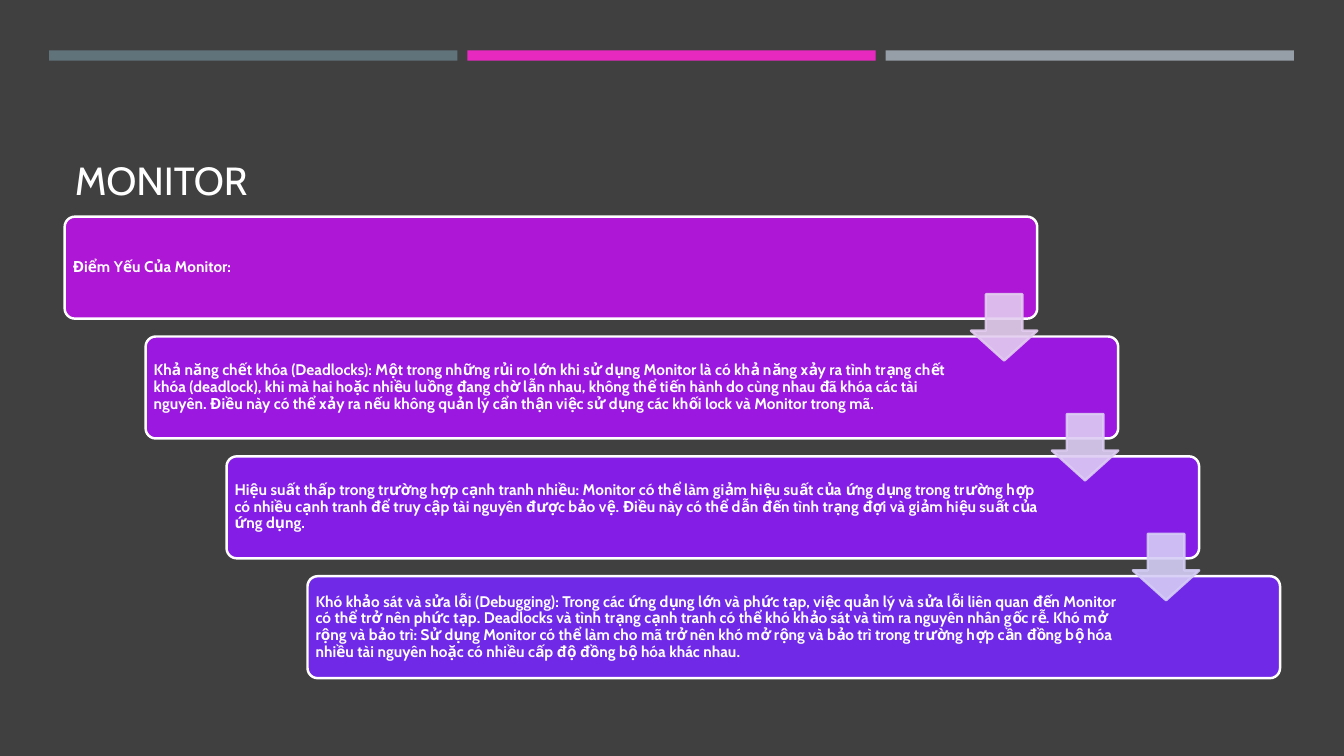
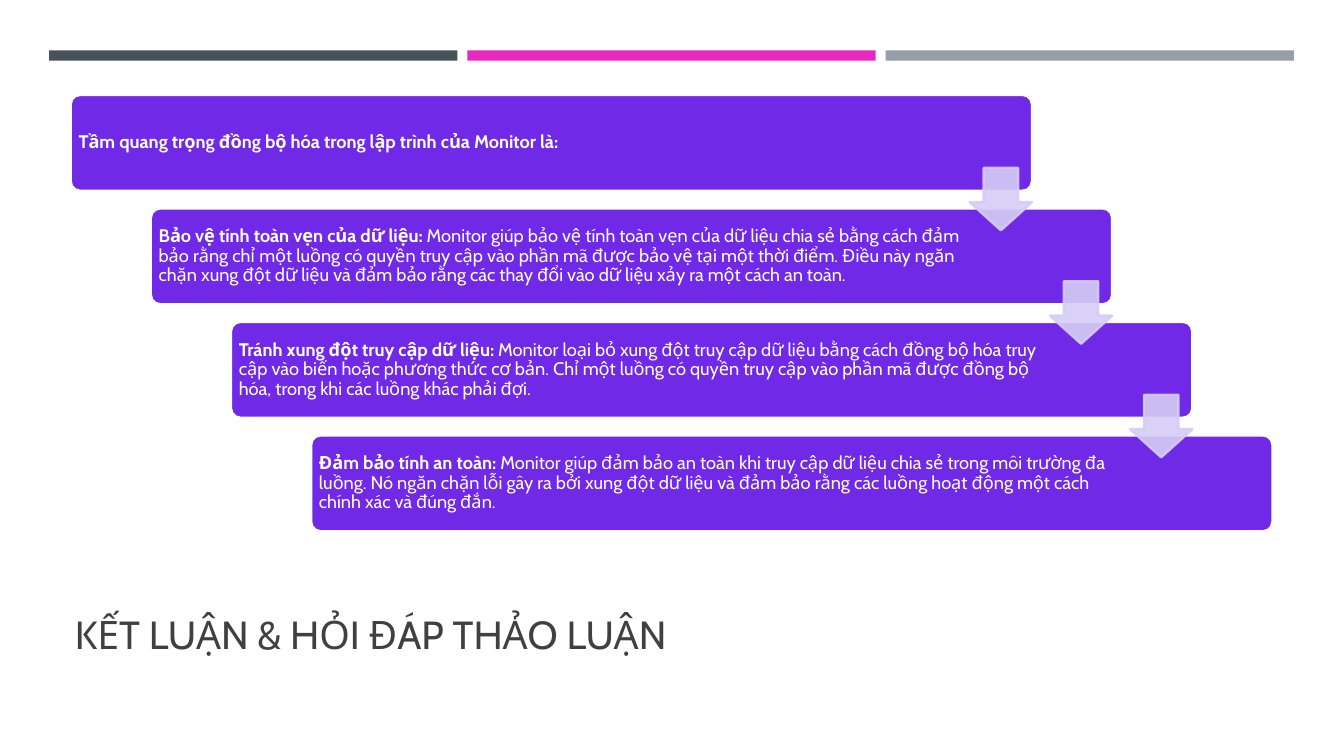
from dataclasses import dataclass

from lxml.etree import SubElement
from pptx import Presentation
from pptx.dml.color import RGBColor
from pptx.enum.shapes import MSO_SHAPE
from pptx.enum.text import MSO_ANCHOR, MSO_AUTO_SIZE, PP_ALIGN
from pptx.oxml.ns import qn
from pptx.util import Cm, Pt


@dataclass(frozen=True)
class Theme:
    font: str = "Cabin"
    white: str = "FFFFFF"
    charcoal: str = "404040"
    steel: str = "60727A"
    slate: str = "465359"
    pink: str = "E729BF"
    gray: str = "969FA7"
    violet: str = "7029E7"
    lavender: str = "D5CDF6"
    title_size: int = 28
    outline: float = 1.75
    arrow_opacity: int = 90


@dataclass(frozen=True)
class Staircase:
    """Placement of overlapping steps, in centimetres."""
    left: float
    top: float
    width: float
    height: float
    shift: float
    drop: float
    right_inset: float
    text_size: int


THEME = Theme()


class SlideBuilder:
    def __init__(self, deck, theme):
        self.deck = deck
        self.theme = theme
        self.page = None

    def start(self, background, first_bar):
        """Add a page with its background and the three bars at the top."""
        layout = self.deck.slide_layouts.get_by_name("Title Only")
        self.page = self.deck.slides.add_slide(layout)
        fill = self.page.background.fill
        fill.solid()
        fill.fore_color.rgb = RGBColor.from_string(background)
        for index, color in enumerate((first_bar, self.theme.pink, self.theme.gray)):
            self.shape(MSO_SHAPE.RECTANGLE, 1.24 + index * 10.54, 1.27, 10.29, 0.26, color)

    def shape(self, kind, left, top, width, height, color, outline=None):
        shape = self.page.shapes.add_shape(kind, Cm(left), Cm(top), Cm(width), Cm(height))
        shape.shadow.inherit = False
        shape.fill.solid()
        shape.fill.fore_color.rgb = RGBColor.from_string(color)
        if outline:
            shape.line.color.rgb = RGBColor.from_string(outline)
            shape.line.width = Pt(self.theme.outline)
        else:
            shape.line.fill.background()
        return shape

    def style(self, para, size, color):
        para.alignment = PP_ALIGN.LEFT
        para.font.name = self.theme.font
        para.font.size = Pt(size)
        para.font.color.rgb = RGBColor.from_string(color)

    def title(self, text, top, width, height, color, anchor):
        title = self.page.shapes.title
        title.left, title.top = Cm(1.63), Cm(top)
        title.width, title.height = Cm(width), Cm(height)
        frame = title.text_frame
        frame.text = text
        frame.auto_size = MSO_AUTO_SIZE.NONE
        frame.vertical_anchor = anchor
        self.style(frame.paragraphs[0], self.theme.title_size, color)

    def step(self, left, top, stairs, color, heading, detail):
        """Add a rounded box with a bold heading and a regular detail."""
        box = self.shape(MSO_SHAPE.ROUNDED_RECTANGLE, left, top, stairs.width,
                         stairs.height, color, self.theme.white)
        box.adjustments[0] = 0.1
        frame = box.text_frame
        frame.word_wrap = True
        frame.vertical_anchor = MSO_ANCHOR.MIDDLE
        frame.margin_left = frame.margin_top = frame.margin_bottom = Cm(0.13)
        frame.margin_right = Cm(stairs.right_inset)
        para = frame.paragraphs[0]
        self.style(para, stairs.text_size, self.theme.white)
        para.line_spacing = 0.9
        for text, bold in ((heading, True), (detail, False)):
            if text:
                span = para.add_run()
                span.text = text
                span.font.bold = bold

    def arrow(self, left, top, size, color):
        arrow = self.shape(MSO_SHAPE.DOWN_ARROW, left, top, size, size, color, color)
        arrow.adjustments[0], arrow.adjustments[1] = 0.55, 0.45
        for paint in arrow.element.iter(qn("a:srgbClr")):
            SubElement(paint, qn("a:alpha"), val=str(self.theme.arrow_opacity * 1000))

    def staircase(self, stairs, texts, box_colors, arrow_colors):
        corners = [(stairs.left + index * stairs.shift, stairs.top + index * stairs.drop)
                   for index in range(len(texts))]
        for (left, top), color, (heading, detail) in zip(corners, box_colors, texts):
            self.step(left, top, stairs, color, heading, detail)
        # Each arrow hangs from the right edge of its box
        size = 0.65 * stairs.height
        for (left, top), color in zip(corners, arrow_colors):
            self.arrow(left + stairs.width - size, top + 0.76 * stairs.height, size, color)


# Texts: bold heading, regular detail
WEAKNESSES = [
    ("Điểm Yếu Của Monitor:", ""),
    ("Khả năng chết khóa (Deadlocks): Một trong những rủi ro lớn khi sử dụng Monitor "
     "là có khả năng xảy ra tình trạng chết khóa (deadlock), khi mà hai hoặc nhiều luồng "
     "đang chờ lẫn nhau, không thể tiến hành do cùng nhau đã khóa các tài nguyên. Điều này "
     "có thể xảy ra nếu không quản lý cẩn thận việc sử dụng các khối lock và Monitor "
     "trong mã.", ""),
    ("Hiệu suất thấp trong trường hợp cạnh tranh nhiều: Monitor có thể làm giảm hiệu suất "
     "của ứng dụng trong trường hợp có nhiều cạnh tranh để truy cập tài nguyên được bảo vệ. "
     "Điều này có thể dẫn đến tình trạng đợi và giảm hiệu suất của ứng dụng.", ""),
    ("Khó khảo sát và sửa lỗi (Debugging): Trong các ứng dụng lớn và phức tạp, việc quản lý "
     "và sửa lỗi liên quan đến Monitor có thể trở nên phức tạp. Deadlocks và tình trạng cạnh "
     "tranh có thể khó khảo sát và tìm ra nguyên nhân gốc rễ. Khó mở rộng và bảo trì: Sử dụng "
     "Monitor có thể làm cho mã trở nên khó mở rộng và bảo trì trong trường hợp cần đồng bộ "
     "hóa nhiều tài nguyên hoặc có nhiều cấp độ đồng bộ hóa khác nhau.", ""),
]
BENEFITS = [
    ("Tầm quang trọng đồng bộ hóa trong lập trình của Monitor là:", ""),
    ("Bảo vệ tính toàn vẹn của dữ liệu:",
     " Monitor giúp bảo vệ tính toàn vẹn của dữ liệu chia sẻ bằng cách đảm bảo rằng chỉ một "
     "luồng có quyền truy cập vào phần mã được bảo vệ tại một thời điểm. Điều này ngăn chặn "
     "xung đột dữ liệu và đảm bảo rằng các thay đổi vào dữ liệu xảy ra một cách an toàn."),
    ("Tránh xung đột truy cập dữ liệu:",
     " Monitor loại bỏ xung đột truy cập dữ liệu bằng cách đồng bộ hóa truy cập vào biến hoặc "
     "phương thức cơ bản. Chỉ một luồng có quyền truy cập vào phần mã được đồng bộ hóa, trong "
     "khi các luồng khác phải đợi."),
    ("Đảm bảo tính an toàn:",
     " Monitor giúp đảm bảo an toàn khi truy cập dữ liệu chia sẻ trong môi trường đa luồng. "
     "Nó ngăn chặn lỗi gây ra bởi xung đột dữ liệu và đảm bảo rằng các luồng hoạt động một "
     "cách chính xác và đúng đắn."),
]


def main():
    deck = Presentation()
    deck.slide_width, deck.slide_height = Cm(33.87), Cm(19.05)
    builder = SlideBuilder(deck, THEME)

    # Weaknesses of Monitor
    builder.start(THEME.charcoal, THEME.steel)
    builder.title("MONITOR", 1.96, 30.63, 3.3, THEME.white, MSO_ANCHOR.BOTTOM)
    builder.staircase(
        Staircase(left=1.63, top=5.46, width=24.51, height=2.57, shift=2.04, drop=3.02,
                  right_inset=3.84, text_size=11),
        WEAKNESSES,
        ("AD17D5", "9A18E0", "841EE6", THEME.violet),
        ("E3CCEF", "DDCDF3", THEME.lavender))

    # Conclusion and discussion
    builder.start(THEME.white, THEME.slate)
    builder.title("KẾT LUẬN & HỎI ĐÁP THẢO LUẬN", 14.63, 30.23, 2.67,
                  THEME.charcoal, MSO_ANCHOR.MIDDLE)
    builder.staircase(
        Staircase(left=1.78, top=2.39, width=24.23, height=2.42, shift=2.02, drop=2.86,
                  right_inset=3.71, text_size=13),
        BENEFITS, [THEME.violet] * 4, [THEME.lavender] * 3)

    deck.save("out.pptx")


if __name__ == "__main__":
    main()
